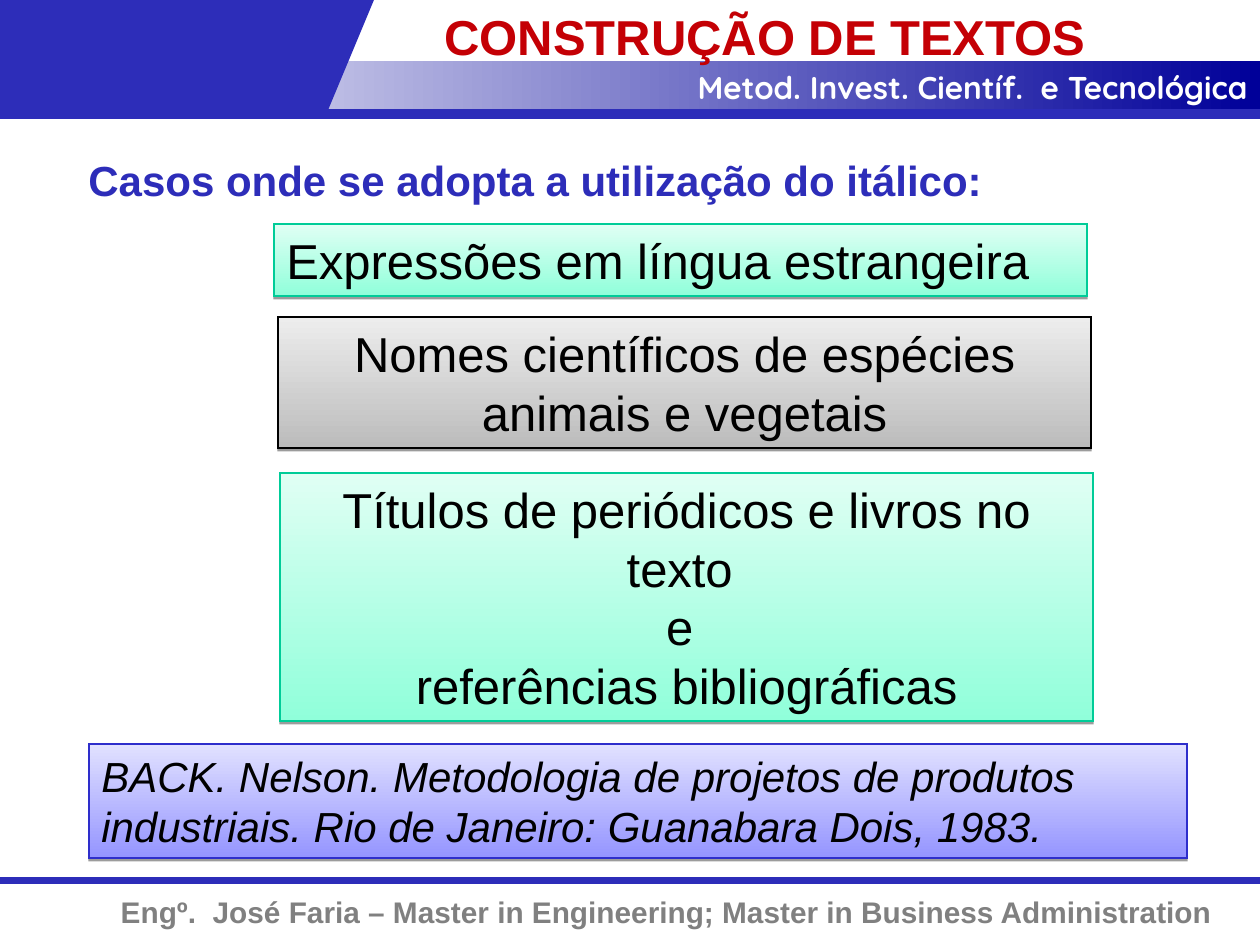
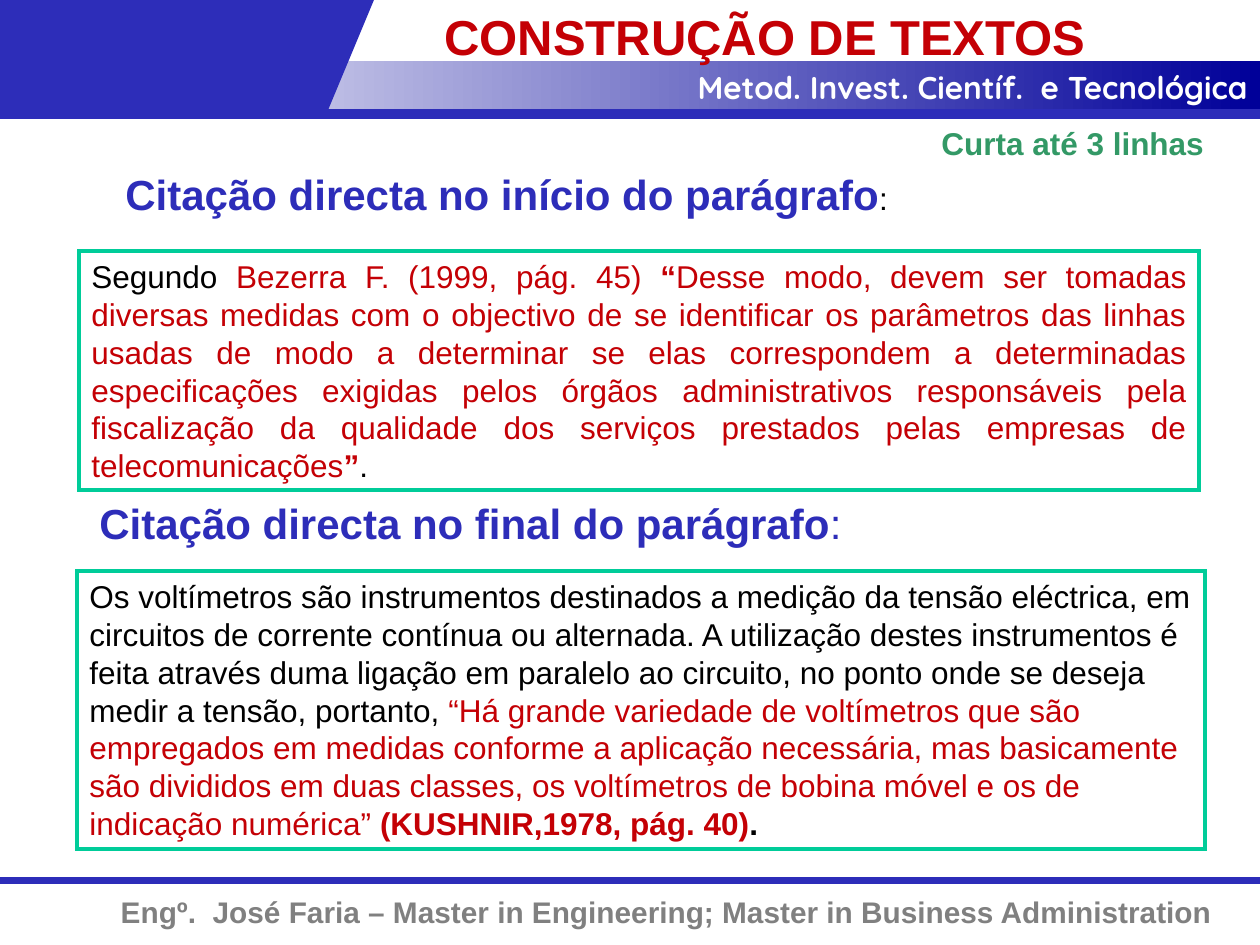
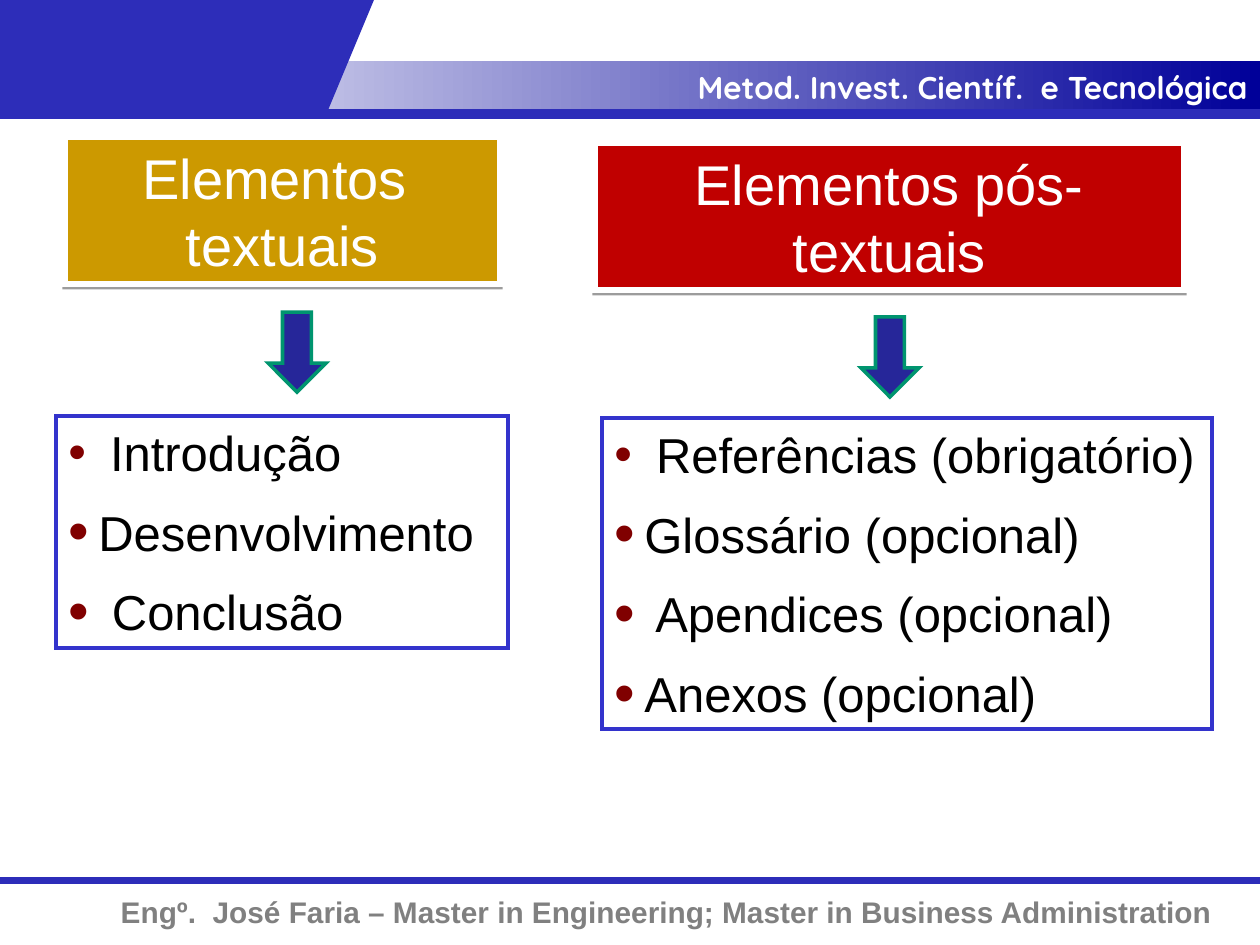
from dataclasses import dataclass, replace
from typing import Optional

from lxml import etree
from pptx import Presentation, util as u
from pptx.dml import color as c
from pptx.enum import shapes as s, text as t
from pptx.oxml import ns

EMU_PER_PX = 914400 / 126
PAGE_W, PAGE_H = 1260, 945
HANG = 30

# Palette
BLUE, NAVY, WHITE, BLACK = "2D2DB9", "000099", "FFFFFF", "000000"
RED, GREY, GREEN = "C40005", "808080", "339966"
MINT_LINE, LIST_LINE, BULLET = "00CC99", "3333CC", "800000"
MINT = ("90FFDA", "E0FFF4")
SILVER = ("BCBCBC", "EDEDED")
LILAC = ("9595FF", "E1E1FF")

LEFT, CENTER = t.PP_ALIGN.LEFT, t.PP_ALIGN.CENTER
RIGHT, JUSTIFY = t.PP_ALIGN.RIGHT, t.PP_ALIGN.JUSTIFY
RECT, ARROW = s.MSO_SHAPE.RECTANGLE, s.MSO_SHAPE.DOWN_ARROW


@dataclass(frozen=True)
class Span:
    text: str
    size: int = 18
    color: str = BLACK
    bold: bool = False
    italic: bool = False
    font: str = "Arial"


@dataclass(frozen=True)
class Panel:
    """A box: its frame in px, its paragraphs of spans and its look."""
    left: int
    top: int
    width: int
    height: int
    paras: tuple[tuple[Span, ...], ...] = ()
    align: t.PP_ALIGN = LEFT
    fill: Optional[str] = None
    gradient: Optional[tuple[str, str]] = None
    angle: int = 90
    line: Optional[str] = None
    line_pt: float = 0.75
    shadow: bool = False
    bullets: bool = False
    kind: s.MSO_SHAPE = RECT


def px(length: float) -> int:
    return round(length * EMU_PER_PX)


def rgb(value: str) -> c.RGBColor:
    return c.RGBColor.from_string(value)


def add_shadow(shape) -> None:
    effects = shape._element.spPr.find(ns.qn("a:effectLst"))
    outer = etree.SubElement(effects, ns.qn("a:outerShdw"), blurRad="0", dist="20000",
                             dir="5400000", rotWithShape="0")
    tone = etree.SubElement(outer, ns.qn("a:srgbClr"), val=BLACK)
    etree.SubElement(tone, ns.qn("a:alpha"), val="38000")


def add_bullet(para) -> None:
    props = para._p.get_or_add_pPr()
    props.set("marL", str(px(HANG)))
    props.set("indent", str(-px(HANG)))
    tone = etree.SubElement(props, ns.qn("a:buClr"))
    etree.SubElement(tone, ns.qn("a:srgbClr"), val=BULLET)
    etree.SubElement(props, ns.qn("a:buSzPct"), val="120000")
    etree.SubElement(props, ns.qn("a:buFont"), typeface="Arial")
    etree.SubElement(props, ns.qn("a:buChar"), char="•")


def write_text(box, panel: Panel) -> None:
    frame = box.text_frame
    frame.word_wrap = True
    frame.vertical_anchor = t.MSO_ANCHOR.TOP
    for index, spans in enumerate(panel.paras):
        para = frame.paragraphs[0] if index == 0 else frame.add_paragraph()
        para.alignment = panel.align
        if panel.bullets:
            para.space_before = u.Pt(6 if index else 0)
            para.space_after = u.Pt(6)
            add_bullet(para)
        for span in spans:
            run = para.add_run()
            run.text = span.text
            run.font.name, run.font.size = span.font, u.Pt(span.size)
            run.font.bold, run.font.italic = span.bold, span.italic
            run.font.color.rgb = rgb(span.color)


def draw_panel(page, panel: Panel) -> None:
    frame = [px(v) for v in (panel.left, panel.top, panel.width, panel.height)]
    if not (panel.fill or panel.gradient):
        write_text(page.shapes.add_textbox(*frame), panel)
        return
    box = page.shapes.add_shape(panel.kind, *frame)
    box.shadow.inherit = False
    if panel.gradient:
        box.fill.gradient()
        box.fill.gradient_angle = panel.angle
        for stop, tone in zip(box.fill.gradient_stops, panel.gradient):
            stop.color.rgb = rgb(tone)
    else:
        box.fill.solid()
        box.fill.fore_color.rgb = rgb(panel.fill)
    if panel.line:
        box.line.color.rgb = rgb(panel.line)
        box.line.width = u.Pt(panel.line_pt)
        outline = box._element.spPr.find(ns.qn("a:ln"))
        etree.SubElement(outline, ns.qn("a:miter"), lim="800000")
    else:
        box.line.fill.background()
    if panel.shadow:
        add_shadow(box)
    if panel.paras:
        write_text(box, panel)


def draw_rule(page, top: int, weight: float) -> None:
    rule = page.shapes.add_connector(s.MSO_CONNECTOR.STRAIGHT, 0, px(top), px(PAGE_W), px(top))
    rule.line.color.rgb = rgb(BLUE)
    rule.line.width = u.Pt(weight)
    etree.SubElement(rule._element.spPr, ns.qn("a:effectLst"))


# Shared header and footer
FOOTER = Panel(0, 888, 1225, 49, ((Span(
    "Engº.  José Faria – Master in Engineering; Master in Business Administration",
    17, GREY, bold=True),),), RIGHT)
HEADER = (
    Panel(0, 61, PAGE_W, 48, gradient=(WHITE, NAVY), angle=0),
    Panel(147, 0, 227, 109, fill=BLUE, kind=s.MSO_SHAPE.FLOWCHART_DATA),
    Panel(0, 0, 200, 109, fill=BLUE),
    Panel(549, 62, 711, 50, ((Span("Metod. Invest. Científ.  e Tecnológica", 18, WHITE,
                                   bold=True, font="Quicksand"),),), RIGHT),
)
TITLE = Panel(432, 0, 828, 60, ((Span("CONSTRUÇÃO DE TEXTOS", 28, RED, bold=True),),))


# Recurring boxes
def heading(left: int, top: int, width: int, *spans: Span) -> Panel:
    return Panel(left, top, width, 63, (spans,))


def case(left: int, top: int, height: int, tones: tuple[str, str], line: str,
         *lines: str, align: t.PP_ALIGN = CENTER) -> Panel:
    return Panel(left, top, 813, height, tuple((Span(words, 28),) for words in lines),
                 align, gradient=tones, line=line, shadow=True)


def quote(left: int, top: int, width: int, height: int, align: t.PP_ALIGN,
          *spans: Span) -> Panel:
    return Panel(left, top, width, height, (spans,), align, fill=WHITE,
                 line=MINT_LINE, line_pt=2)


def group_title(left: int, top: int, width: int, words: str, fill: str) -> Panel:
    return Panel(left, top, width, 147, ((Span(words, 32, WHITE),),), CENTER,
                 fill=fill, line=WHITE, line_pt=3, shadow=True)


def item_list(left: int, top: int, width: int, height: int, *items: str) -> Panel:
    first = (Span(" ", 24), Span(items[0], 28))
    rest = tuple((Span(item, 28),) for item in items[1:])
    return Panel(left, top, width, height, (first, *rest), fill=WHITE,
                 line=LIST_LINE, line_pt=2, bullets=True)


def down_arrow(left: int, top: int) -> Panel:
    return Panel(left, top, 58, 80, fill="262699", line="00956F", line_pt=2, kind=ARROW)


HEAD = Span("", 24, BLUE, bold=True)
CITED = Span("", 18, RED)
CITED_BOLD = replace(CITED, bold=True)

# Slide 1: uses of italics
ITALICS = (
    Panel(89, 744, 1098, 114, ((Span(
        "BACK. Nelson. Metodologia de projetos de produtos industriais. "
        "Rio de Janeiro: Guanabara Dois, 1983.", 24, italic=True),),),
        gradient=LILAC, line="2E2ECB", shadow=True),
    heading(76, 148, 1096, replace(HEAD, text="Casos onde se adopta a utilização do itálico:")),
    case(274, 224, 72, MINT, "00CC98", "Expressões em língua estrangeira", align=LEFT),
    case(278, 317, 131, SILVER, BLACK, "Nomes científicos de espécies animais e vegetais"),
    case(280, 473, 248, MINT, "00CC98", "Títulos de periódicos e livros no texto ", "e ",
         "referências bibliográficas"),
    TITLE,
)

# Slide 2: direct quotations
QUOTATIONS = (
    heading(113, 162, 790, replace(HEAD, text="Citação directa no início do parágrafo"),
            Span(":")),
    quote(79, 251, 1120, 239, JUSTIFY,
          Span("Segundo "),
          replace(CITED, text="Bezerra F. (1999, pág. 45) "),
          replace(CITED_BOLD, text="“"),
          replace(CITED, text=(
              "Desse modo, devem ser tomadas diversas medidas com o objectivo de se "
              "identificar os parâmetros das linhas usadas de modo a determinar se elas "
              "correspondem a determinadas especificações exigidas pelos órgãos "
              "administrativos responsáveis pela fiscalização da qualidade dos serviços "
              "prestados pelas empresas de telecomunicações")),
          replace(CITED_BOLD, text="”"),
          Span(".")),
    heading(87, 491, 770, replace(HEAD, text="Citação directa no final do parágrafo"),
            replace(HEAD, text=":", bold=False)),
    quote(77, 571, 1128, 278, LEFT,
          Span("Os voltímetros são instrumentos destinados a medição da tensão eléctrica, em "
               "circuitos de corrente contínua ou alternada. A utilização destes instrumentos "
               "é feita através duma ligação em paralelo ao circuito, no ponto onde se deseja "
               "medir a tensão, portanto, "),
          replace(CITED, text=(
              "“Há grande variedade de voltímetros que são empregados em medidas conforme a "
              "aplicação necessária, mas basicamente são divididos em duas classes, os "
              "voltímetros de bobina móvel e os de indicação numérica” ")),
          replace(CITED_BOLD, text="(KUSHNIR,1978, pág. 40)"),
          Span(".", bold=True)),
    TITLE,
    Panel(929, 118, 331, 50, ((Span("Curta até 3 linhas", 18, GREEN, bold=True),),)),
)

# Slide 3: textual and post-textual elements
ELEMENTS = (
    group_title(65, 137, 435, "Elementos  textuais", "CC9900"),
    item_list(56, 416, 452, 232, "Introdução", "Desenvolvimento", " Conclusão"),
    item_list(602, 418, 610, 311, "Referências (obrigatório)", "Glossário (opcional)",
              " Apendices (opcional)", "Anexos (opcional)"),
    down_arrow(268, 312),
    group_title(595, 143, 589, "Elementos pós-textuais", "C00000"),
    down_arrow(861, 317),
)


def build_page(deck, panels: tuple[Panel, ...]) -> None:
    page = deck.slides.add_slide(deck.slide_layouts[6])
    draw_rule(page, 881, 4)
    for panel in (FOOTER, *HEADER):
        draw_panel(page, panel)
    draw_rule(page, 114, 6)
    for panel in panels:
        draw_panel(page, panel)


def main() -> None:
    deck = Presentation()
    deck.slide_width, deck.slide_height = px(PAGE_W), px(PAGE_H)
    for panels in (ITALICS, QUOTATIONS, ELEMENTS):
        build_page(deck, panels)
    deck.save("out.pptx")


if __name__ == "__main__":
    main()
